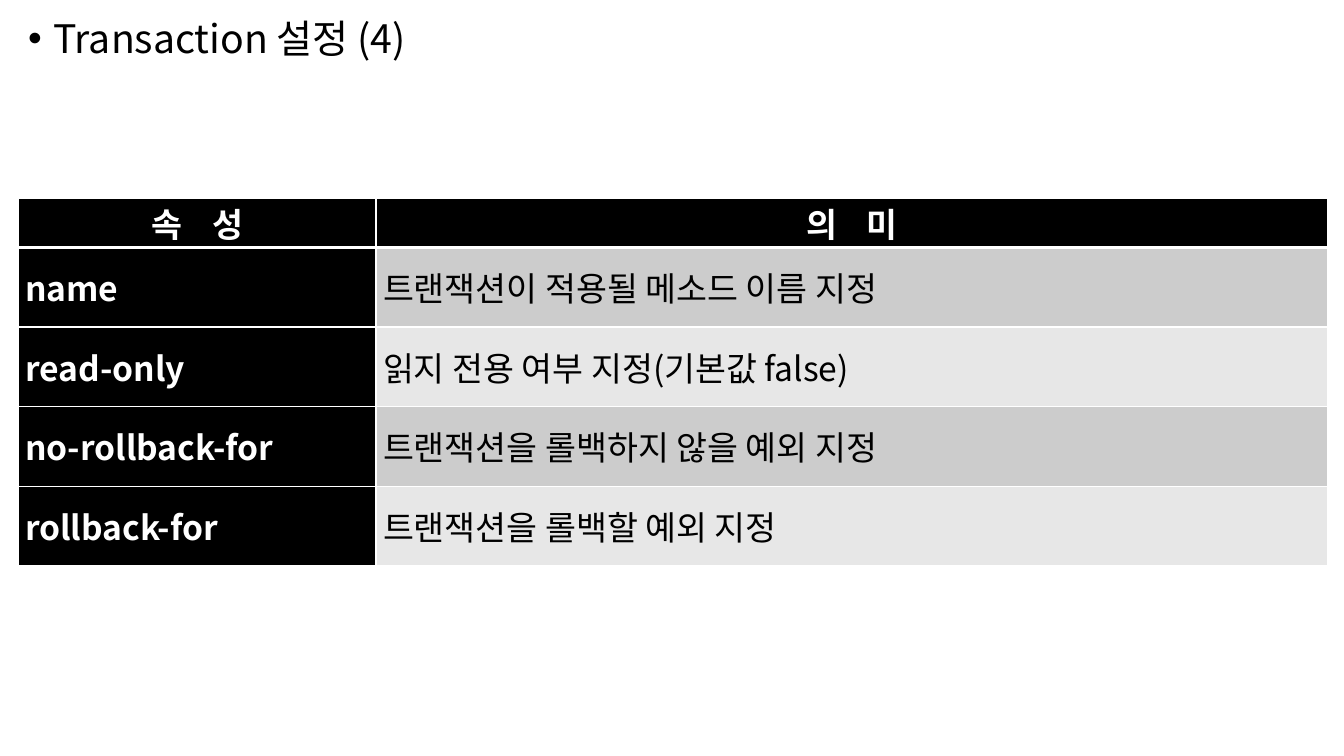
import lxml.etree
import pptx
import pptx.dml.color
import pptx.enum.text
import pptx.oxml.ns
import pptx.util

FONT = "Noto Sans CJK KR"
BLACK, WHITE = "000000", "FFFFFF"
BANDS = ["CCCCCC", "E7E7E7"]
HEADINGS = ["속 성", "의 미"]
ATTRIBUTES = [
    ("name", "트랜잭션이 적용될 메소드 이름 지정"),
    ("read-only", "읽지 전용 여부 지정(기본값 false)"),
    ("no-rollback-for", "트랜잭션을 롤백하지 않을 예외 지정"),
    ("rollback-for", "트랜잭션을 롤백할 예외 지정"),
]


def px(length):
    return pptx.util.Emu(length * 9144)


def colour(value):
    return pptx.dml.color.RGBColor.from_string(value)


def add_element(parent, tag, **attributes):
    element = lxml.etree.SubElement(parent, pptx.oxml.ns.qn(tag))
    for name, value in attributes.items():
        element.set(name, str(value))
    return element


class SlideBuilder:
    def __init__(self, deck, font):
        self.font = font
        self.slide = deck.slides.add_slide(deck.slide_layouts[5])

    def style(self, para, size, color, bold=False):
        for span in para.runs:
            span.font.size = pptx.util.Pt(size)
            span.font.name = self.font
            span.font.bold = bold
            span.font.color.rgb = colour(color)
            add_element(span.font._element, "a:ea", typeface=self.font)

    def title(self, text, left, top, width, height):
        box = self.slide.shapes.title
        box.left, box.top, box.width, box.height = map(px, (left, top, width, height))
        frame = box.text_frame
        frame.text = text
        frame.word_wrap = True
        frame.auto_size = pptx.enum.text.MSO_AUTO_SIZE.NONE
        frame.vertical_anchor = pptx.enum.text.MSO_ANCHOR.TOP
        para = frame.paragraphs[0]
        para.alignment = pptx.enum.text.PP_ALIGN.LEFT
        para.line_spacing = 0.9
        para.space_before = pptx.util.Pt(10)
        properties = para._p.get_or_add_pPr()
        properties.set("marL", str(px(25)))
        properties.set("indent", str(px(-25)))
        add_element(properties, "a:buFont", typeface="Arial")
        add_element(properties, "a:buChar", char="•")
        self.style(para, 28, BLACK)

    def table(self, left, top, widths, heights):
        frame = self.slide.shapes.add_table(
            len(heights), len(widths), px(left), px(top), px(sum(widths)), px(sum(heights))
        )
        table = frame.table
        for column, width in zip(table.columns, widths):
            column.width = px(width)
        for row, height in zip(table.rows, heights):
            row.height = px(height)
        return table

    def borders(self, cell, color, **points):
        properties = cell._tc.get_or_add_tcPr()
        for side in "LRTB":
            line = add_element(properties, f"a:ln{side}", w=pptx.util.Pt(points.get(side, 1)))
            add_element(add_element(line, "a:solidFill"), "a:srgbClr", val=color)

    def cell(self, cell, text, fill, color, bold, **points):
        cell.text = text
        cell.margin_left = cell.margin_right = px(7)
        cell.margin_top = cell.margin_bottom = 0
        cell.vertical_anchor = pptx.enum.text.MSO_ANCHOR.MIDDLE
        self.borders(cell, WHITE, **points)
        cell.fill.solid()
        cell.fill.fore_color.rgb = colour(fill)
        para = cell.text_frame.paragraphs[0]
        self.style(para, 24, color, bold)
        return para

    def heading(self, cell, text):
        para = self.cell(cell, text, BLACK, WHITE, True, B=3)
        para.alignment = pptx.enum.text.PP_ALIGN.CENTER
        para.runs[0].font._element.set("spc", "800")


def main():
    deck = pptx.Presentation()
    deck.slide_width, deck.slide_height = px(1333), px(750)
    builder = SlideBuilder(deck, FONT)
    builder.title("Transaction 설정 (4)", 18, 14, 1299, 722)
    table = builder.table(18, 197, [355, 944], [47] + [79] * len(ATTRIBUTES))
    for column, text in enumerate(HEADINGS):
        builder.heading(table.cell(0, column), text)
    for row, (name, meaning) in enumerate(ATTRIBUTES, 1):
        top = 3 if row == 1 else 1
        band = BANDS[(row - 1) % len(BANDS)]
        builder.cell(table.cell(row, 0), name, BLACK, WHITE, True, T=top)
        builder.cell(table.cell(row, 1), meaning, band, BLACK, False, T=top)
    deck.save("out.pptx")


if __name__ == "__main__":
    main()
